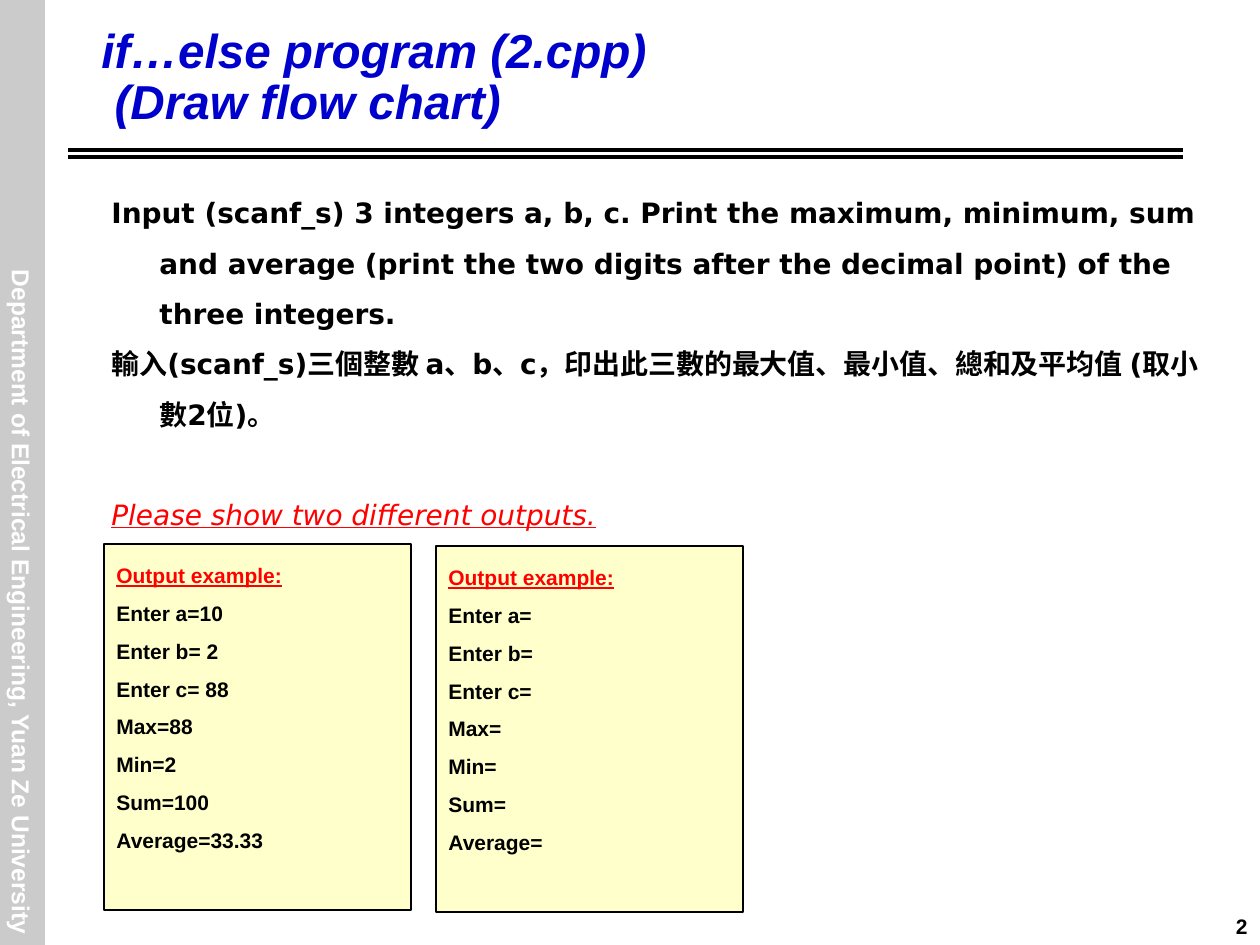
import pptx
import pptx.util
import pptx.dml.color
import pptx.enum.shapes
import pptx.enum.text
import pptx.oxml.ns
import lxml.etree

PX = 914400 // 126
COLORS = {"sidebar": "CBCBCB", "white": "FFFFFF", "black": "000000",
          "title": "0000CC", "accent": "FF0000", "panel": "FFFFCC"}
RECTANGLE = pptx.enum.shapes.MSO_SHAPE.RECTANGLE
ALIGN = pptx.enum.text.PP_ALIGN
ANCHOR = pptx.enum.text.MSO_ANCHOR
HANGING = 48


def rgb(name):
    return pptx.dml.color.RGBColor.from_string(COLORS[name])


def write(shape, lines, size, font="Arial", color="black", align=ALIGN.LEFT,
          anchor=ANCHOR.TOP, wrap=True, spacing=None, hanging=0, italic=False):
    frame = shape.text_frame
    frame.word_wrap = wrap
    frame.vertical_anchor = anchor
    frame.text = "\n".join(lines)
    for paragraph in frame.paragraphs:
        paragraph.alignment = align
        paragraph.line_spacing = spacing
        if hanging:
            properties = paragraph._p.get_or_add_pPr()
            properties.set("marL", str(hanging * PX))
            properties.set("indent", str(-hanging * PX))
        for run in paragraph.runs:
            run.font.name = font
            run.font.size = pptx.util.Pt(size)
            run.font.bold = True
            run.font.italic = italic
            run.font.color.rgb = rgb(color)
    return frame.paragraphs


presentation = pptx.Presentation()
presentation.slide_width = pptx.util.Inches(10)
presentation.slide_height = pptx.util.Inches(7.5)
slide = presentation.slides.add_slide(presentation.slide_layouts[6])
shapes = slide.shapes

sidebar = shapes.add_shape(RECTANGLE, 0, 0, 45 * PX, 945 * PX)
sidebar.shadow.inherit = False
sidebar.fill.solid()
sidebar.fill.fore_color.rgb = rgb("sidebar")
sidebar.line.fill.background()

for y in (150, 157):
    rule = shapes.add_connector(pptx.enum.shapes.MSO_CONNECTOR.STRAIGHT,
                                68 * PX, y * PX, 1183 * PX, y * PX)
    rule.line.color.rgb = rgb("black")
    rule.line.width = pptx.util.Pt(2.24)
    lxml.etree.SubElement(rule._element.spPr, pptx.oxml.ns.qn("a:effectLst"))

department = shapes.add_textbox(-328 * PX, 577 * PX, 698 * PX, 43 * PX)
department.rotation = 90
department_lines = write(department, [" Department of Electrical Engineering, Yuan Ze University"],
                         14, color="white", align=ALIGN.CENTER, wrap=False)
department_lines[0].space_before = pptx.util.Pt(8.8)

page_number = shapes.add_textbox(1047 * PX, 895 * PX, 213 * PX, 63 * PX)
write(page_number, ["2"], 12, align=ALIGN.RIGHT, anchor=ANCHOR.MIDDLE)

title = shapes.add_textbox(89 * PX, 21 * PX, 1071 * PX, 136 * PX)
write(title, ["if…else program (2.cpp)", " (Draw flow chart)"], 27.2,
      color="title", spacing=0.9, italic=True)

task = shapes.add_textbox(99 * PX, 173 * PX, 1121 * PX, 466 * PX)
task_lines = write(task, [
    "Input (scanf_s) 3 integers a, b, c. Print the maximum, minimum, sum and average "
    "(print the two digits after the decimal point) of the three integers.",
    "輸入(scanf_s)三個整\uf969 a、b、c，印出此三\uf969的最大值、最小值、總和及平均值 (取小數2位)。",
    "Please show two different outputs.",
], 16, font="DejaVu Sans", spacing=1.5, hanging=HANGING)
request = task_lines[-1]
request.space_before = pptx.util.Pt(28.7)
request_font = request.runs[0].font
request_font.bold = False
request_font.italic = True
request_font.underline = True
request_font.color.rgb = rgb("accent")

labels = ["Enter a=", "Enter b=", "Enter c=", "Max=", "Min=", "Sum=", "Average="]
filled = ["10", " 2", " 88", "88", "2", "100", "33.33"]
blank = [""] * len(labels)
for left, top, answers in ((104, 544, filled), (436, 546, blank)):
    example = shapes.add_shape(RECTANGLE, left * PX, top * PX, 307 * PX, 366 * PX)
    example.shadow.inherit = False
    example.fill.solid()
    example.fill.fore_color.rgb = rgb("panel")
    example.line.color.rgb = rgb("black")
    example.line.width = pptx.util.Pt(0.74)
    results = [label + answer for label, answer in zip(labels, answers)]
    example_lines = write(example, ["Output example:"] + results, 12,
                          spacing=1.5, hanging=HANGING)
    heading_font = example_lines[0].runs[0].font
    heading_font.underline = True
    heading_font.color.rgb = rgb("accent")

presentation.save("out.pptx")
